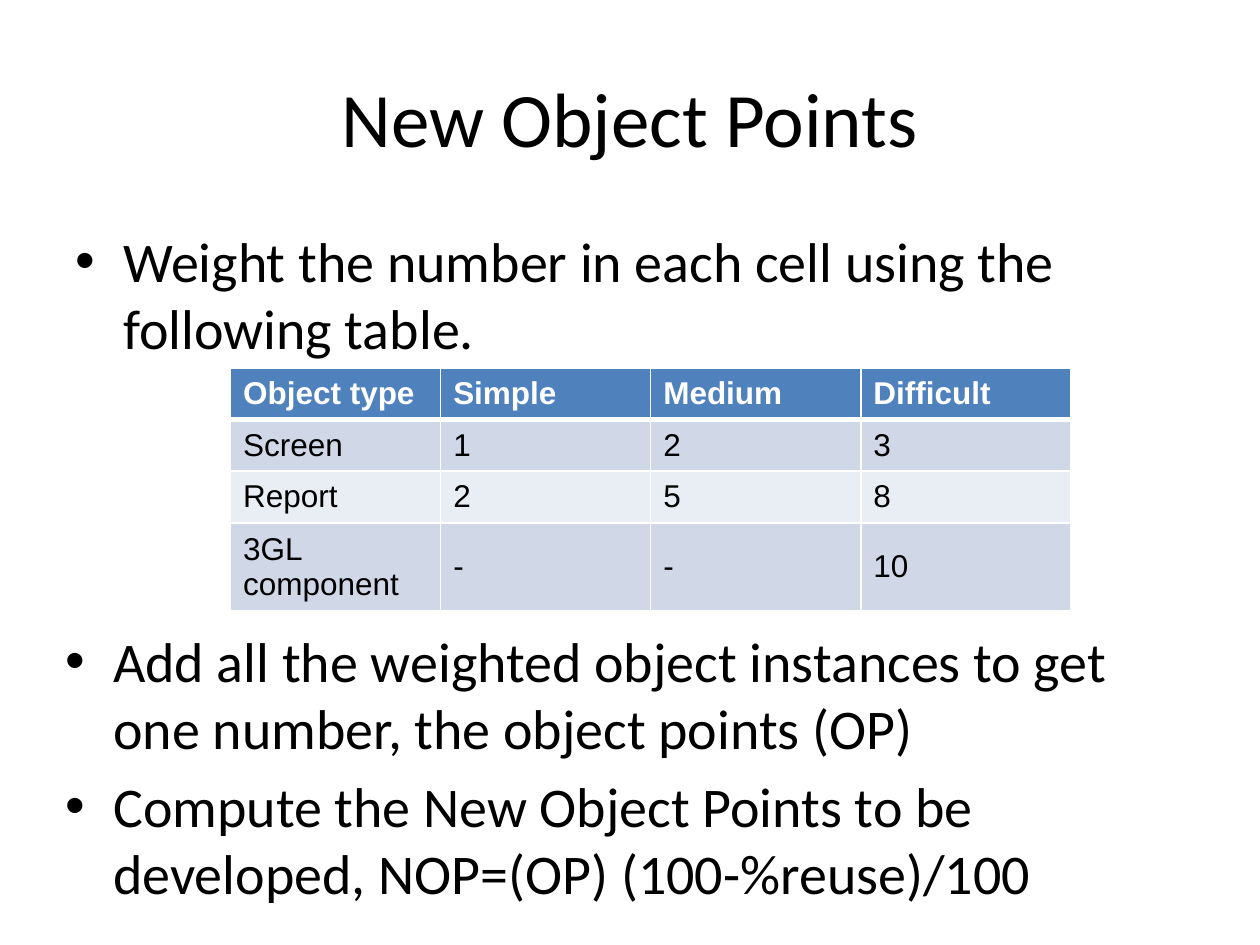
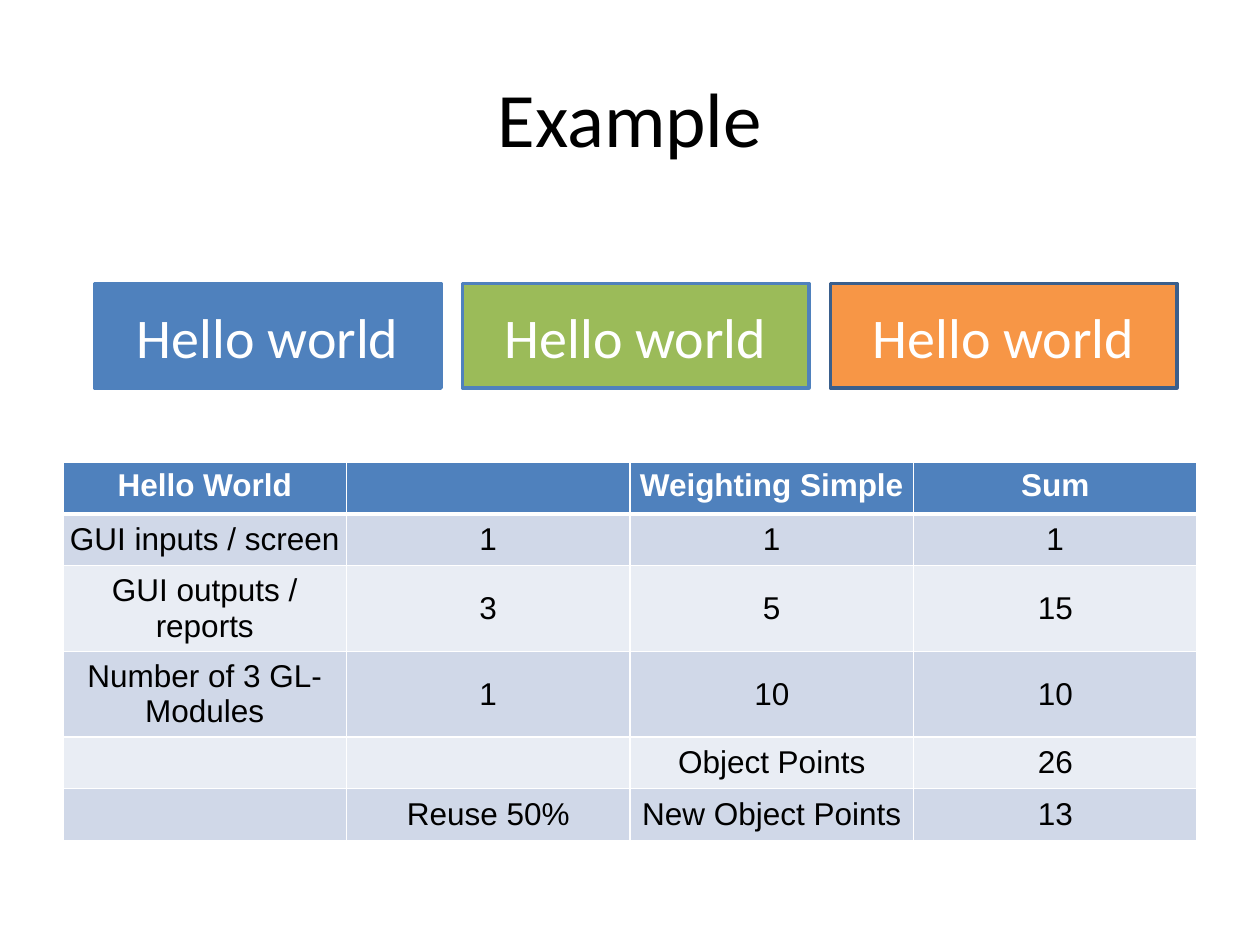
from lxml import etree
from pptx import Presentation
from pptx.dml.color import RGBColor
from pptx.enum.shapes import MSO_SHAPE as Shape
from pptx.enum.text import MSO_ANCHOR as Anchor, PP_ALIGN as Align
from pptx.oxml.ns import qn
from pptx.util import Inches, Pt

BLACK = RGBColor(0x00, 0x00, 0x00)
WHITE = RGBColor(0xFF, 0xFF, 0xFF)
BLUE = RGBColor(0x4F, 0x81, 0xBD)
DARK_BLUE = RGBColor(0x3A, 0x5F, 0x8C)
GREEN = RGBColor(0x9B, 0xBB, 0x59)
ORANGE = RGBColor(0xF7, 0x96, 0x46)
BANDS = (RGBColor(0xD0, 0xD8, 0xE8), RGBColor(0xE9, 0xED, 0xF4))

ROW_HEIGHT = 0.41
WEIGHTS = [
    ("Object type", "Simple", "Medium", "Difficult"),
    ("Screen", "1", "2", "3"),
    ("Report", "2", "5", "8"),
    ("3GL component", "-", "-", "10"),
]
EXAMPLE = [
    ("Hello World", "", "Weighting Simple", "Sum"),
    ("GUI inputs / screen", "1", "1", "1"),
    ("GUI outputs / reports", "3", "5", "15"),
    ("Number of 3 GL-Modules", "1", "10", "10"),
    ("", "", "Object Points", "26"),
    ("", "Reuse 50%", "New Object Points", "13"),
]


def add_bullet(para):
    """Give a paragraph a round bullet with a hanging indent."""
    properties = para._p.get_or_add_pPr()
    properties.set("marL", str(Inches(0.38)))
    properties.set("indent", str(Inches(-0.38)))
    etree.SubElement(properties, qn("a:buFont"), typeface="Arial")
    etree.SubElement(properties, qn("a:buChar"), char="•")


def write_text(frame, *lines, size=32, font="Calibri", color=BLACK, bold=False,
               align=Align.LEFT, anchor=Anchor.TOP, bullet=False):
    """Write one paragraph per line into a text frame."""
    frame.word_wrap = True
    frame.vertical_anchor = anchor
    for index, line in enumerate(lines):
        para = frame.add_paragraph() if index else frame.paragraphs[0]
        if bullet:
            add_bullet(para)
        para.alignment = align
        if index:
            para.space_before = Pt(size * 0.2)
        span = para.add_run()
        span.text = line
        span.font.size = Pt(size)
        span.font.name = font
        span.font.bold = bold
        span.font.color.rgb = color


def add_text(page, left, top, width, height, *lines, **style):
    """Add a text box with the given lines."""
    box = page.shapes.add_textbox(
        Inches(left), Inches(top), Inches(width), Inches(height))
    write_text(box.text_frame, *lines, **style)


def add_page(deck, title):
    """Add a blank page with the shared centred title."""
    page = deck.slides.add_slide(deck.slide_layouts[6])
    add_text(page, 0.5, 0.3, 9, 1.25, title, size=44,
             align=Align.CENTER, anchor=Anchor.MIDDLE)
    return page


def add_block(page, left, fill, line):
    """Add one outlined Hello world rectangle."""
    block = page.shapes.add_shape(
        Shape.RECTANGLE, Inches(left), Inches(2.25), Inches(2.75), Inches(0.83))
    block.shadow.inherit = False
    block.fill.solid()
    block.fill.fore_color.rgb = fill
    block.line.color.rgb = line
    block.line.width = Pt(2)
    write_text(block.text_frame, "Hello world", color=WHITE,
               align=Align.CENTER, anchor=Anchor.MIDDLE)


def set_borders(cell, top, bottom):
    """Draw white cell borders with the given top and bottom widths."""
    properties = cell._tc.get_or_add_tcPr()
    widths = {"a:lnL": 1, "a:lnR": 1, "a:lnT": top, "a:lnB": bottom}
    for tag, width in widths.items():
        line = etree.SubElement(properties, qn(tag), w=str(Pt(width)))
        fill = etree.SubElement(line, qn("a:solidFill"))
        etree.SubElement(fill, qn("a:srgbClr"), val=str(WHITE))


def add_table(page, left, top, width, rows, align=Align.LEFT,
              header_anchor=Anchor.MIDDLE, margin=None):
    """Add a table with a blue header and banded rows."""
    table = page.shapes.add_table(
        len(rows), len(rows[0]), Inches(left), Inches(top),
        Inches(width), Inches(ROW_HEIGHT * len(rows))).table
    table.first_row = table.horz_banding = False
    for row_index, texts in enumerate(rows):
        header = row_index == 0
        table.rows[row_index].height = Inches(ROW_HEIGHT)
        for column, text in enumerate(texts):
            cell = table.cell(row_index, column)
            set_borders(cell, top=3 if row_index == 1 else 1, bottom=3 if header else 1)
            cell.fill.solid()
            cell.fill.fore_color.rgb = BLUE if header else BANDS[(row_index - 1) % 2]
            cell.vertical_anchor = header_anchor if header else Anchor.MIDDLE
            if margin is not None:
                cell.margin_left = cell.margin_right = Inches(margin)
                cell.margin_top = cell.margin_bottom = Inches(margin)
            if text:
                write_text(cell.text_frame, text, size=18, font="Arial", bold=header,
                           color=WHITE if header else BLACK, align=align)


def add_points_page(deck):
    """Build the page that explains New Object Points."""
    page = add_page(deck, "New Object Points")
    add_text(page, 0.5, 1.75, 9, 1.08,
             "Weight the number in each cell using the following table.", bullet=True)
    add_table(page, 1.83, 2.92, 6.67, WEIGHTS)
    add_text(page, 0.42, 4.92, 9, 2.31,
             "Add all the weighted object instances to get one number, "
             "the object points (OP)",
             "Compute the New Object Points to be developed, "
             "NOP=(OP) (100-%reuse)/100", bullet=True)


def add_example_page(deck):
    """Build the page with the worked example."""
    page = add_page(deck, "Example")
    add_table(page, 0.5, 3.67, 9, EXAMPLE, align=Align.CENTER,
              header_anchor=Anchor.TOP, margin=0.04)
    colors = [(BLUE, BLUE), (GREEN, BLUE), (ORANGE, DARK_BLUE)]
    for index, (fill, line) in enumerate(colors):
        add_block(page, 0.75 + index * 2.92, fill, line)


def main():
    """Build and save the deck."""
    deck = Presentation()
    deck.slide_width, deck.slide_height = Inches(10), Inches(7.5)
    add_points_page(deck)
    add_example_page(deck)
    deck.save("out.pptx")


if __name__ == "__main__":
    main()
